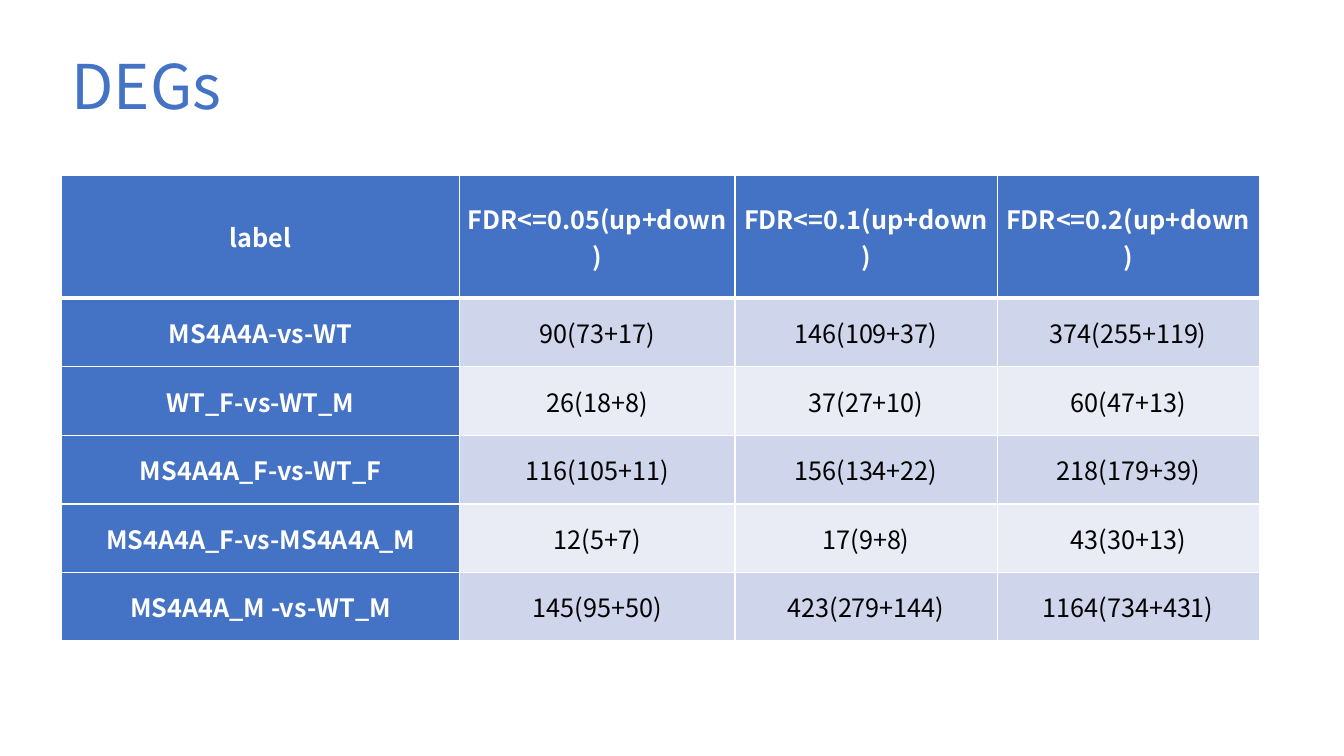
from lxml.etree import SubElement
from pptx import Presentation
from pptx.dml.color import RGBColor
from pptx.enum.text import MSO_ANCHOR, PP_ALIGN
from pptx.oxml.ns import qn
from pptx.util import Pt

PX = 9144  # EMU per px, 100 px to the inch
FONT = "Noto Sans CJK SC"
BLUE = RGBColor(0x44, 0x72, 0xC4)
WHITE = RGBColor(0xFF, 0xFF, 0xFF)
BLACK = RGBColor(0x00, 0x00, 0x00)
BANDS = [RGBColor(0xCF, 0xD5, 0xEA), RGBColor(0xE9, 0xEB, 0xF5)]

COLS = [395, 273, 260, 260]
HEAD, ROW = 122, 68
DEGS = [
    ["label"] + [f"FDR<={cut}(up+down)" for cut in ("0.05", "0.1", "0.2")],
    ["MS4A4A-vs-WT", "90(73+17)", "146(109+37)", "374(255+119)"],
    ["WT_F-vs-WT_M", "26(18+8)", "37(27+10)", "60(47+13)"],
    ["MS4A4A_F-vs-WT_F", "116(105+11)", "156(134+22)", "218(179+39)"],
    ["MS4A4A_F-vs-MS4A4A_M", "12(5+7)", "17(9+8)", "43(30+13)"],
    ["MS4A4A_M -vs-WT_M", "145(95+50)", "423(279+144)", "1164(734+431)"],
]


def px(*sizes):
    return [size * PX for size in sizes]


def write(frame, text, size=18, color=BLACK, bold=False,
          align=PP_ALIGN.CENTER, space=None):
    para = frame.paragraphs[0]
    para.alignment = align
    para.line_spacing = space
    run = para.add_run()
    run.text = text
    font = run.font
    font.name, font.size, font.bold = FONT, Pt(size), bold
    font.color.rgb = color


def add_title(slide, text):
    title = slide.shapes.title
    title.left, title.top, title.width, title.height = px(61, 16, 1150, 145)
    title.text_frame.vertical_anchor = MSO_ANCHOR.MIDDLE
    write(title.text_frame, text, size=44, color=BLUE,
          align=PP_ALIGN.LEFT, space=0.9)


def add_edges(cell, top, bottom):
    """Draw white cell borders; widths are in points."""
    props = cell._tc.get_or_add_tcPr()
    for side, width in (("L", 1), ("R", 1), ("T", top), ("B", bottom)):
        line = SubElement(props, qn(f"a:ln{side}"), w=str(Pt(width)))
        fill = SubElement(line, qn("a:solidFill"))
        SubElement(fill, qn("a:srgbClr"), val=str(WHITE))


def fill_cell(cell, text, row, col):
    label = row == 0 or col == 0
    cell.vertical_anchor = MSO_ANCHOR.MIDDLE
    cell.margin_left, cell.margin_right = px(7, 7)
    cell.margin_top = cell.margin_bottom = 0
    add_edges(cell, top=3 if row == 1 else 1, bottom=3 if row == 0 else 1)
    cell.fill.solid()
    cell.fill.fore_color.rgb = BLUE if label else BANDS[(row - 1) % 2]
    write(cell.text_frame, text, color=WHITE if label else BLACK, bold=label)


def add_grid(slide, data, left, top):
    rows = [HEAD] + [ROW] * (len(data) - 1)
    box = px(left, top, sum(COLS), sum(rows))
    table = slide.shapes.add_table(len(rows), len(COLS), *box).table
    for column, width in zip(table.columns, px(*COLS)):
        column.width = width
    for line, height in zip(table.rows, px(*rows)):
        line.height = height
    for row, texts in enumerate(data):
        for col, text in enumerate(texts):
            fill_cell(table.cell(row, col), text, row, col)


def main():
    deck = Presentation()
    deck.slide_width, deck.slide_height = px(1333, 750)
    slide = deck.slides.add_slide(deck.slide_layouts.get_by_name("Title Only"))
    add_title(slide, "DEGs")
    add_grid(slide, DEGS, 61, 174)
    deck.save("out.pptx")


if __name__ == "__main__":
    main()
